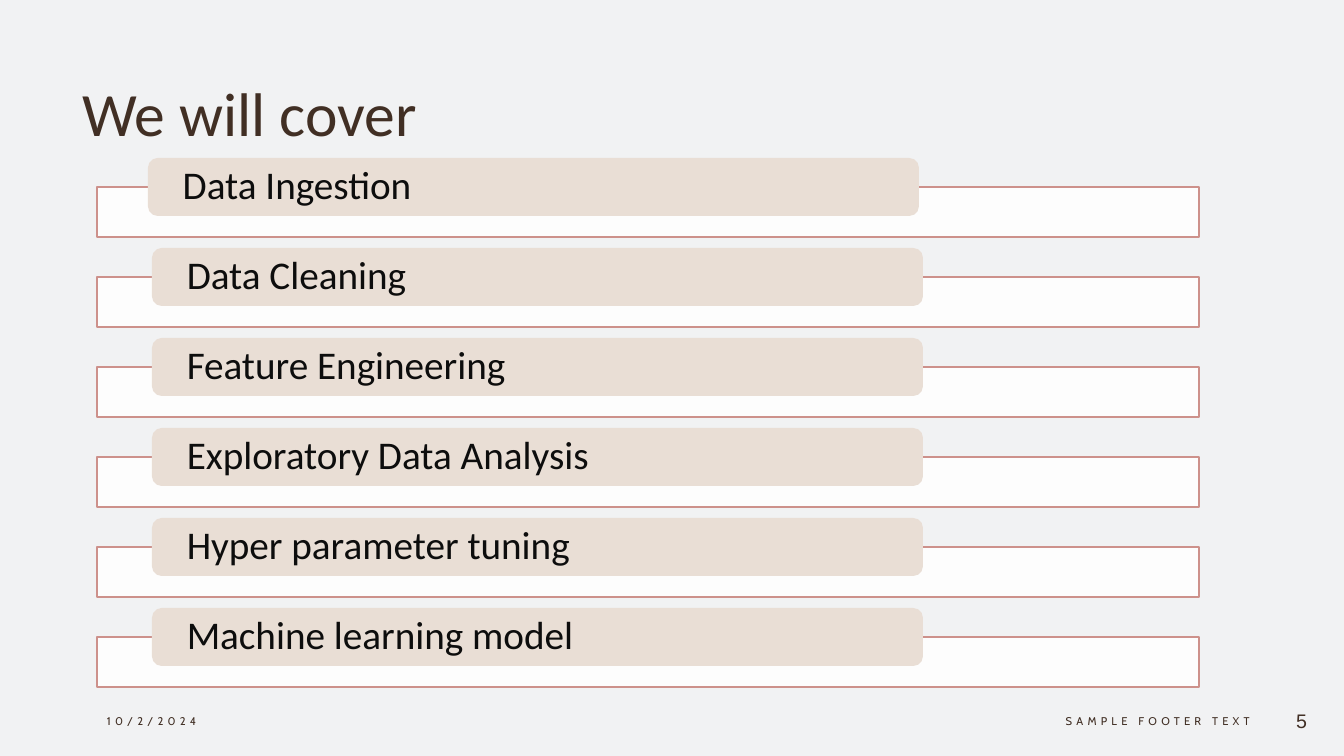
from lxml import etree
from pptx import Presentation
from pptx.dml.color import RGBColor
from pptx.enum.shapes import MSO_SHAPE
from pptx.enum.text import MSO_ANCHOR, MSO_AUTO_SIZE, PP_ALIGN
from pptx.oxml.ns import qn
from pptx.util import Pt

PX = 914400 / 100.8
RECT, ROUNDED = MSO_SHAPE.RECTANGLE, MSO_SHAPE.ROUNDED_RECTANGLE
MIDDLE, BOTTOM = MSO_ANCHOR.MIDDLE, MSO_ANCHOR.BOTTOM
LEFT, RIGHT = PP_ALIGN.LEFT, PP_ALIGN.RIGHT
COLORS = {"tint": "A2ACB5", "bar": "FFFFFF", "border": "CD918B",
          "pill": "E9DED5", "brown": "412F24", "ink": "0D0D0D"}
TOPICS = ["Data Ingestion", "Data Cleaning", "Feature Engineering",
          "Exploratory Data Analysis", "Hyper parameter tuning",
          "Machine learning model"]
PITCH = 90


def add_panel(kind, left, top, width, height, fill, opacity=100, border=None):
    panel = page.shapes.add_shape(kind, *(round(n * PX) for n in (left, top, width, height)))
    panel.shadow.inherit = False
    panel.fill.solid()
    panel.fill.fore_color.rgb = RGBColor.from_string(COLORS[fill])
    if opacity < 100:
        color = panel.fill._xPr.find(".//" + qn("a:srgbClr"))
        etree.SubElement(color, qn("a:alpha"), val=str(opacity * 1000))
    if border:
        panel.line.color.rgb = RGBColor.from_string(COLORS[border])
        panel.line.width = Pt(1)
    else:
        panel.line.fill.background()
    return panel


def write(box, text, size, font="Calibri", color="brown", align=LEFT,
          anchor=MIDDLE, tracking=0, line_spacing=1.0, space_after=0):
    """Fill a shape with one formatted line; tracking is in points."""
    frame = box.text_frame
    frame.word_wrap = True
    frame.auto_size = MSO_AUTO_SIZE.NONE
    frame.vertical_anchor = anchor
    para = frame.paragraphs[0]
    para.alignment = align
    para.line_spacing = line_spacing
    para.space_after = Pt(space_after)
    span = para.add_run()
    span.text = text
    span.font.size = Pt(size)
    span.font.name = font
    span.font.color.rgb = RGBColor.from_string(COLORS[color])
    if tracking:
        span.font._element.set("spc", str(tracking * 100))


deck = Presentation()
deck.slide_width, deck.slide_height = round(1344 * PX), round(756 * PX)
page = deck.slides.add_slide(deck.slide_layouts[5])

# Background tint, placed behind the title
tint = add_panel(RECT, 0, 0, 1344, 756, "tint", opacity=15)
page.shapes._spTree.insert(2, tint._element)

title = page.shapes.title
title.left, title.top, title.width, title.height = (
    round(n * PX) for n in (72, 15, 1152, 139))
write(title, "We will cover", 44, anchor=BOTTOM)

# Footer
for text, left, width, size, font, align, tracking in [
    ("10/2/2024", 97, 302, 8, "Cabin", LEFT, 3),
    ("SAMPLE FOOTER TEXT", 786, 474, 8, "Cabin", RIGHT, 3),
    ("5", 1260, 57, 14, "Arial", RIGHT, 0),
]:
    box = page.shapes.add_textbox(*(round(n * PX) for n in (left, 701, width, 40)))
    write(box, text, size, font, align=align, tracking=tracking, space_after=6)

# Topic list: a wide bar with a labelled pill over its top edge
for row, topic in enumerate(TOPICS):
    top = 158 + row * PITCH
    add_panel(RECT, 97, top + 29, 1102, 50, "bar", opacity=90, border="border")
    pill = add_panel(ROUNDED, 148 if row == 0 else 152, top, 771, 58, "pill")
    frame = pill.text_frame
    frame.margin_left = frame.margin_right = round(32 * PX)
    frame.margin_top = frame.margin_bottom = 0
    write(pill, topic, 28, color="ink", line_spacing=0.9)

deck.save("out.pptx")
